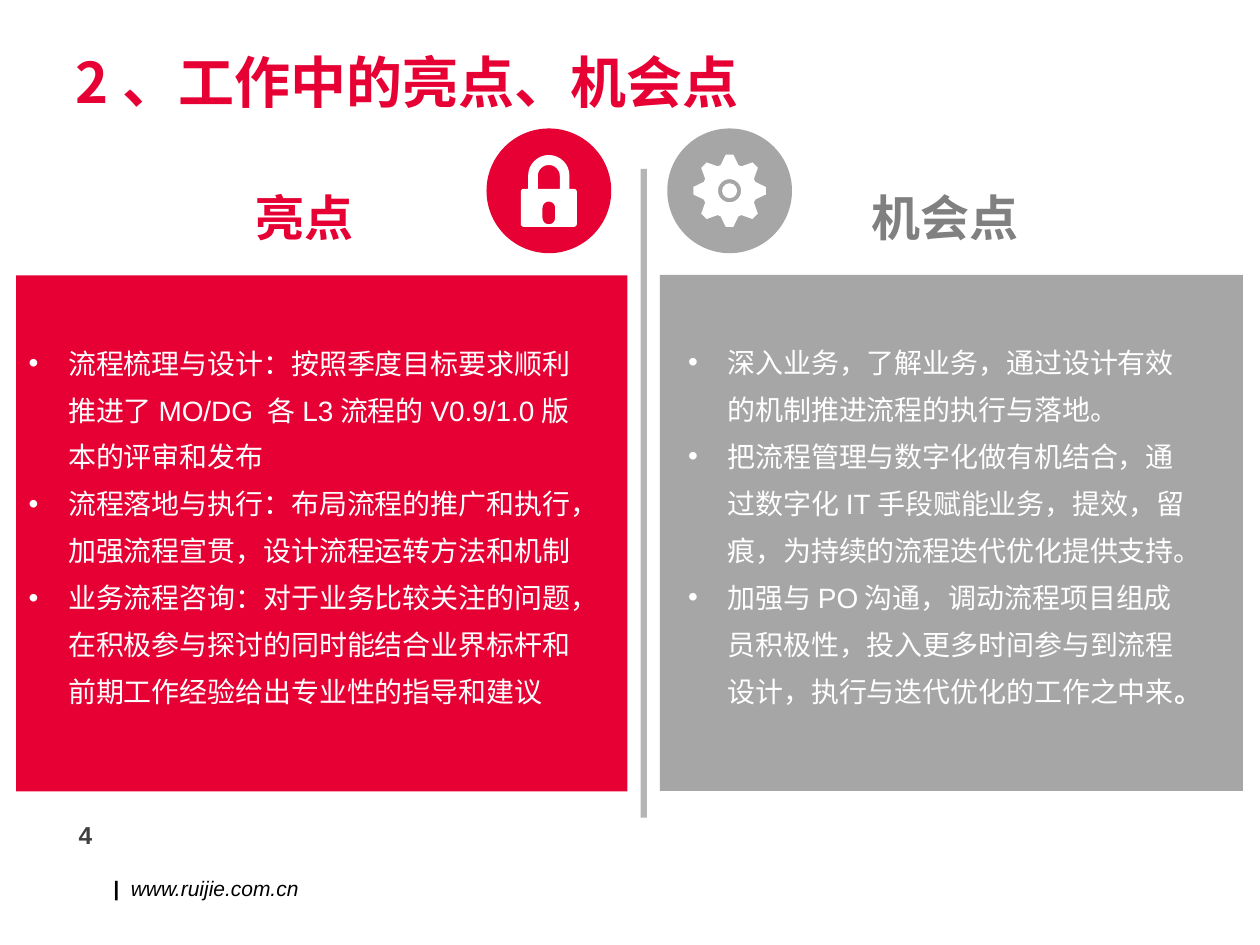
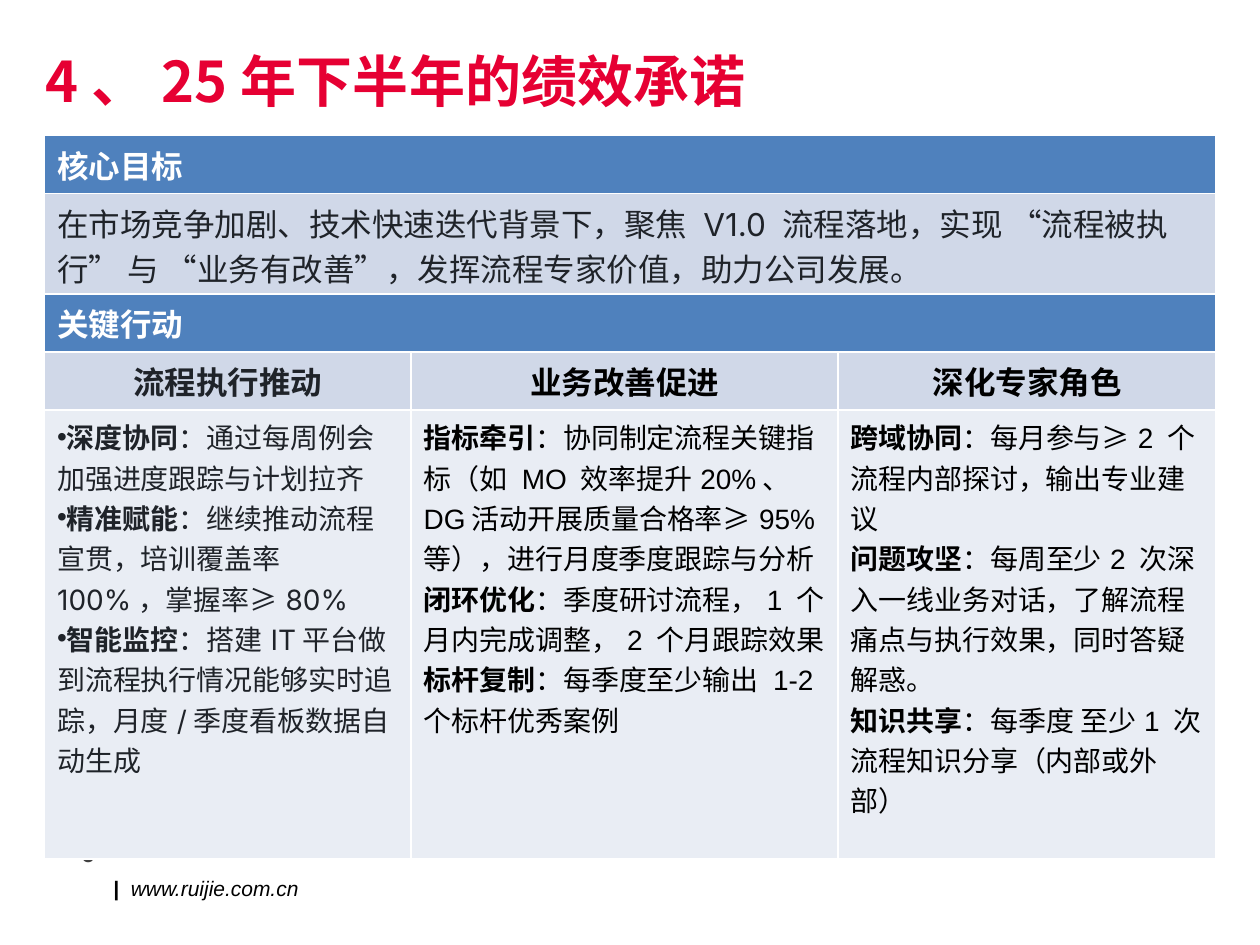
"""Builds the two review slides: highlights with opportunities, and the half-year commitment."""
from math import cos, radians, sin

from lxml import etree
from pptx import Presentation
from pptx.dml.color import RGBColor
from pptx.enum.shapes import MSO_SHAPE
from pptx.enum.text import MSO_ANCHOR, MSO_AUTO_SIZE, PP_ALIGN
from pptx.oxml.ns import qn
from pptx.util import Pt

RECT, OVAL = MSO_SHAPE.RECTANGLE, MSO_SHAPE.OVAL
TOP, MIDDLE = MSO_ANCHOR.TOP, MSO_ANCHOR.MIDDLE
LEFT, CENTER, RIGHT = PP_ALIGN.LEFT, PP_ALIGN.CENTER, PP_ALIGN.RIGHT
NO_FIT = MSO_AUTO_SIZE.NONE
TWO_CONTENT, TITLE_ONLY = 3, 5
LATIN, CJK, INTER = "Arial", "Noto Sans CJK SC", "Inter"
COLORS = {
    "red": "E60033", "gray": "A6A6A6", "heading": "808080", "divider": "B5B5B5",
    "white": "FFFFFF", "black": "000000", "number": "404040", "ink": "1F2329",
    "header": "4F81BD", "band": "D0D8E8", "cell": "E9EDF4",
}


def arc(x, y, radius, start, end, steps=16):
    """Return points along an arc, angles in degrees and clockwise from the right."""
    angles = [radians(start + (end - start) * i / steps) for i in range(steps + 1)]
    return [(x + radius * cos(a), y + radius * sin(a)) for a in angles]


class Deck:
    """Holds the shared style and the current slide."""

    def __init__(self):
        self.prs = Presentation()
        self.prs.slide_width, self.prs.slide_height = Pt(720), Pt(540)
        self.slide = None

    def new_slide(self, layout, title, title_at, number, number_at):
        self.slide = self.prs.slides.add_slide(self.prs.slide_layouts[layout])
        heading = self.slide.shapes.title
        self.place(heading, *title_at, 648, 50)
        heading.text_frame.vertical_anchor = MIDDLE
        heading.text_frame.auto_size = NO_FIT
        self.add_runs(heading.text_frame.paragraphs[0], [(title, True)], 32, "red", CJK)
        self.text(57.6, 496.8, 140, 22, [("|  ", True), ("www.ruijie.com.cn", False)],
                  12, "black", italic=True)
        self.text(*number_at, 42.5, 18.7, [(number, True)], 14, "number",
                  align=RIGHT, anchor=MIDDLE)

    def place(self, shape, left, top, width, height):
        shape.left, shape.top = Pt(left), Pt(top)
        shape.width, shape.height = Pt(width), Pt(height)

    def add_runs(self, paragraph, runs, size, color, font=LATIN, align=LEFT, italic=False):
        paragraph.alignment = align
        for text, bold in runs:
            run = paragraph.add_run()
            run.text = text
            run.font.size, run.font.bold, run.font.italic = Pt(size), bold, italic
            run.font.color.rgb = RGBColor.from_string(COLORS[color])
            run.font.name = font
            east_asian = etree.SubElement(run._r.get_or_add_rPr(), qn("a:ea"))
            east_asian.set("typeface", CJK)

    def bullet(self, paragraph, indent=0):
        props = paragraph._p.get_or_add_pPr()
        props.set("marL", str(Pt(indent)))
        props.set("indent", str(-Pt(indent)))
        etree.SubElement(props, qn("a:buFont")).set("typeface", LATIN)
        etree.SubElement(props, qn("a:buChar")).set("char", "•")

    def text(self, left, top, width, height, runs, size, color, font=LATIN,
             align=LEFT, anchor=TOP, italic=False):
        box = self.slide.shapes.add_textbox(Pt(left), Pt(top), Pt(width), Pt(height))
        box.text_frame.word_wrap = True
        box.text_frame.vertical_anchor = anchor
        self.add_runs(box.text_frame.paragraphs[0], runs, size, color, font, align, italic)

    def paint(self, shape, color):
        shape.shadow.inherit = False
        shape.fill.solid()
        shape.fill.fore_color.rgb = RGBColor.from_string(COLORS[color])
        shape.line.fill.background()

    def shape(self, kind, left, top, width, height, color):
        shape = self.slide.shapes.add_shape(kind, Pt(left), Pt(top), Pt(width), Pt(height))
        self.paint(shape, color)

    def outline(self, contours, color):
        builder = None
        for contour in contours:
            (x, y), *rest = [(Pt(px), Pt(py)) for px, py in contour]
            if builder is None:
                builder = self.slide.shapes.build_freeform(x, y)
            else:
                builder.move_to(x, y)
            builder.add_line_segments(rest, close=True)
        self.paint(builder.convert_to_shape(), color)

    def bullets(self, index, left, top, width, height, items):
        body = self.slide.placeholders[index]
        self.place(body, left, top, width, height)
        body.element.getparent().append(body.element)
        frame = body.text_frame
        frame.auto_size, frame.vertical_anchor = NO_FIT, TOP
        for i, runs in enumerate(items):
            paragraph = frame.add_paragraph() if i else frame.paragraphs[0]
            self.bullet(paragraph, 22.5)
            paragraph.line_spacing, paragraph.space_before = 1.4, Pt(0)
            self.add_runs(paragraph, runs, 16, "white")

    def table(self, top, widths, heights):
        frame = self.slide.shapes.add_table(
            len(heights), len(widths), Pt(25.5), Pt(top), Pt(sum(widths)), Pt(sum(heights)))
        grid = frame.table
        grid.horz_banding = False
        for column, width in zip(grid.columns, widths):
            column.width = Pt(width)
        for row, height in zip(grid.rows, heights):
            row.height = Pt(height)
        return grid

    def cell(self, cell, fill, paragraphs, size, color, font=LATIN, align=LEFT, bulleted=False):
        cell.fill.solid()
        cell.fill.fore_color.rgb = RGBColor.from_string(COLORS[fill])
        for i, runs in enumerate(paragraphs):
            paragraph = cell.text_frame.add_paragraph() if i else cell.text_frame.paragraphs[0]
            if bulleted:
                self.bullet(paragraph)
            self.add_runs(paragraph, runs, size, color, font, align)


def draw_lock(deck, x):
    corner, half, top, bottom = 1.5, 16, 108, 129.6
    left, right = x - half + corner, x + half - corner
    body = (arc(x, 100.4, 11.8, 180, 360)
            + [(x + 11.8, top)]
            + arc(right, top + corner, corner, -90, 0, 4)
            + arc(right, bottom - corner, corner, 0, 90, 4)
            + arc(left, bottom - corner, corner, 90, 180, 4)
            + arc(left, top + corner, corner, 180, 270, 4)
            + [(x - 11.8, top)])
    shackle = arc(x, 100.6, 6.3, 180, 360) + [(x + 6.3, top), (x - 6.3, top)]
    keyhole = arc(x, 118.8, 3.6, 180, 360) + arc(x, 124.6, 3.6, 0, 180)
    deck.outline([body, shackle, keyhole], "white")


def draw_gear(deck, x, y):
    tooth = [(15.5, -19), (20.8, -6), (20.8, 6), (15.5, 19)]
    rim = [(x + radius * cos(radians(turn + angle)), y + radius * sin(radians(turn + angle)))
           for turn in range(0, 360, 45) for radius, angle in tooth]
    deck.outline([rim, arc(x, y, 6.6, 0, 360, 32)], "white")
    deck.shape(OVAL, x - 4.3, y - 4.3, 8.6, 8.6, "white")


def highlights_slide(deck):
    deck.new_slide(TWO_CONTENT, "2、工作中的亮点、机会点", (36, 21.6), "4", (17.3, 467.5))
    deck.shape(RECT, 377, 157, 333.2, 295, "gray")
    deck.shape(RECT, 9.2, 157.4, 349.3, 294.8, "red")
    deck.shape(OVAL, 381.3, 73.4, 71.3, 71.3, "gray")
    deck.shape(OVAL, 278, 73.4, 71.3, 71.3, "red")
    draw_lock(deck, 313.6)
    draw_gear(deck, 416.9, 109)
    deck.shape(RECT, 366, 96.5, 3.6, 370.8, "divider")
    deck.text(139, 103.7, 85, 41, [("亮点", True)], 28, "red", CJK)
    deck.text(491, 103.7, 124.6, 41, [("机会点", True)], 28, "heading", CJK)
    deck.bullets(1, 9.2, 186.5, 332, 224.6, [
        [("流程梳理与设计：按照季度目标要求顺利推进了MO/DG 各L3流程的V0.9/1.0版本的评审和发布", False)],
        [("流程落地与执行：布局流程的推广和执行，加强流程宣贯，设计流程运转方法和机制", False)],
        [("业务流程咨询：对于业务比较关注的问题，在积极参与探讨的同时能结合业界标杆和"
          "前期工作经验给出专业性的指导和建议", False)],
    ])
    deck.bullets(2, 386, 186, 302.4, 223.2, [
        [("深入业务，了解业务，通过设计有效的机制推进流程的执行与落地。", False)],
        [("把流程管理与数字化做有机结合，通过数字化IT手段赋能业务，提效，留痕，"
          "为持续的流程迭代优化提供支持。", False)],
        [("加强与PO沟通，调动流程项目组成员积极性，投入更多时间参与到流程设计，"
          "执行与迭代优化的工作之中来", False), ("。", True)],
    ])


def commitment_slide(deck):
    deck.new_slide(TITLE_ONLY, "4、25年下半年的绩效承诺", (18.7, 20.6), "6", (18.7, 478))
    goal = deck.table(77.3, [669.4], [33.2, 57.2])
    deck.cell(goal.cell(0, 0), "header", [[("核心目标", True)]], 18, "white")
    deck.cell(goal.cell(1, 0), "band", [[(
        "在市场竞争加剧、技术快速迭代背景下，聚焦 V1.0 流程落地，实现 “流程被执行” 与 "
        "“业务有改善”，发挥流程专家价值，助力公司发展。", False)]], 18, "ink", INTER)

    actions = deck.table(168, [209.4, 244, 216], [33.2, 33.2, 256.4])
    actions.cell(0, 0).merge(actions.cell(0, 2))
    deck.cell(actions.cell(0, 0), "header", [[("关键行动", True)]], 18, "white")
    columns = [
        ("流程执行推动", "ink", INTER, [
            ("深度协同", "：通过每周例会加强进度跟踪与计划拉齐"),
            ("精准赋能", "：继续推动流程宣贯，培训覆盖率 100%，掌握率≥80%"),
            ("智能监控", "：搭建IT平台做到流程执行情况能够实时追踪，月度/季度看板数据自动生成")]),
        ("业务改善促进", "black", LATIN, [
            ("指标牵引", "：协同制定流程关键指标（如 MO 效率提升20%、DG活动开展质量合格率≥95%等），"
                     "进行月度季度跟踪与分析"),
            ("闭环优化", "：季度研讨流程，1 个月内完成调整，2 个月跟踪效果"),
            ("标杆复制", "：每季度至少输出 1-2 个标杆优秀案例")]),
        ("深化专家角色", "black", LATIN, [
            ("跨域协同", "：每月参与≥2 个流程内部探讨，输出专业建议"),
            ("问题攻坚", "：每周至少2 次深入一线业务对话，了解流程痛点与执行效果，同时答疑解惑。"),
            ("知识共享", "：每季度 至少1 次流程知识分享（内部或外部）")]),
    ]
    for i, (area, color, font, measures) in enumerate(columns):
        deck.cell(actions.cell(1, i), "band", [[(area, True)]], 18, color, font, CENTER)
        deck.cell(actions.cell(2, i), "cell",
                  [[(name, True), (detail, False)] for name, detail in measures],
                  16, color, font, bulleted=i == 0)


def main():
    deck = Deck()
    highlights_slide(deck)
    commitment_slide(deck)
    deck.prs.save("out.pptx")


if __name__ == "__main__":
    main()
